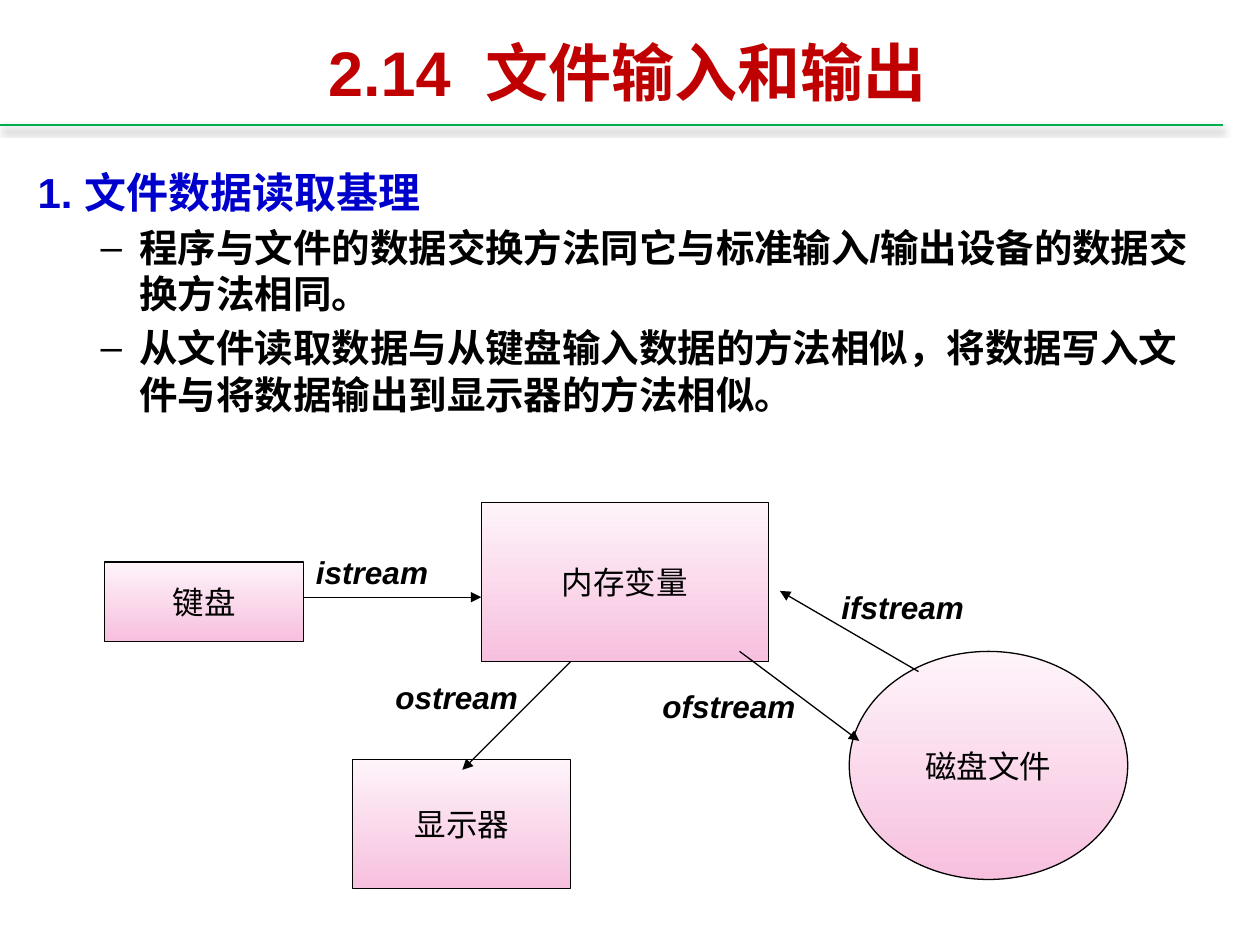
from dataclasses import dataclass

from lxml.etree import SubElement
from pptx import Presentation
from pptx.dml.color import RGBColor
from pptx.enum.shapes import MSO_CONNECTOR, MSO_SHAPE
from pptx.enum.text import MSO_ANCHOR, PP_ALIGN
from pptx.oxml.ns import qn
from pptx.util import Inches, Pt


@dataclass(frozen=True)
class Theme:
    font: str = "Arial"
    title: str = "C00000"
    heading: str = "0000CC"
    ink: str = "000000"
    rule: str = "00B050"
    node_top: str = "FEF4FA"
    node_bottom: str = "F7C0DE"
    title_size: int = 36
    heading_size: int = 24
    body_size: int = 22
    node_size: int = 18


THEME = Theme()
UNIT = 0.1  # the slide is a grid of 100 columns by 75 rows


def grid(*values):
    return [Inches(v * UNIT) for v in values]


def rgb(value):
    return RGBColor.from_string(value)


def write(p, text, size, color=THEME.ink, bold=False, italic=False, align=None):
    r = p.add_run()
    r.text = text
    f = r.font
    f.name, f.size, f.bold, f.italic = THEME.font, Pt(size), bold, italic
    f.color.rgb = rgb(color)
    if align is not None:
        p.alignment = align


def indent(p, left, hanging, bullet=None):
    pPr = p._p.get_or_add_pPr()
    pPr.set("marL", str(Inches(left)))
    pPr.set("indent", str(-Inches(hanging)))
    if bullet:
        SubElement(pPr, qn("a:buFont"), typeface=THEME.font)
        SubElement(pPr, qn("a:buChar"), char=bullet)


def add_line(s, start, end, color=THEME.ink, width=0.75, arrow=False):
    """Draw a straight line and return its empty effect list."""
    cxn = s.shapes.add_connector(MSO_CONNECTOR.STRAIGHT, *grid(*start, *end))
    cxn.line.color.rgb = rgb(color)
    cxn.line.width = Pt(width)
    if arrow:
        SubElement(cxn.line._get_or_add_ln(), qn("a:tailEnd"), type="triangle")
    return SubElement(cxn._element.spPr, qn("a:effectLst"))


def add_header(s, box, text):
    x, y, w, h = box
    # Rule with a soft shadow below it
    effects = add_line(s, (0, y + h), (97.1, y + h), THEME.rule, 1.25)
    shadow = SubElement(effects, qn("a:outerShdw"), blurRad=str(Pt(4)),
                        dist=str(Pt(2.5)), dir="5400000", rotWithShape="0")
    color = SubElement(shadow, qn("a:srgbClr"), val=THEME.ink)
    SubElement(color, qn("a:alpha"), val="47000")
    # Title
    sp = s.shapes.title
    sp.left, sp.top, sp.width, sp.height = grid(*box)
    tf = sp.text_frame
    tf.vertical_anchor = MSO_ANCHOR.MIDDLE
    write(tf.paragraphs[0], text, THEME.title_size, THEME.title, bold=True,
          align=PP_ALIGN.CENTER)


def add_body(s, box, heading, points):
    tf = s.shapes.add_textbox(*grid(*box)).text_frame
    tf.word_wrap = True
    p = tf.paragraphs[0]
    indent(p, 0.38, 0.38)
    write(p, heading, THEME.heading_size, THEME.heading, bold=True)
    for point in points:
        p = tf.add_paragraph()
        p.level = 1
        p.space_before = Pt(0.2 * THEME.body_size)
        indent(p, 0.81, 0.31, "–")
        write(p, point, THEME.body_size, bold=True)


def add_node(s, box, text, kind):
    sp = s.shapes.add_shape(kind, *grid(*box))
    sp.shadow.inherit = False
    sp.fill.gradient()
    sp.fill.gradient_angle = 270
    for stop, color in zip(sp.fill.gradient_stops,
                           (THEME.node_top, THEME.node_bottom)):
        stop.color.rgb = rgb(color)
    sp.line.color.rgb = rgb(THEME.ink)
    sp.line.width = Pt(0.75)
    tf = sp.text_frame
    tf.word_wrap = False
    tf.vertical_anchor = MSO_ANCHOR.MIDDLE
    write(tf.paragraphs[0], text, THEME.node_size, align=PP_ALIGN.CENTER)


def add_label(s, box, text):
    tf = s.shapes.add_textbox(*grid(*box)).text_frame
    tf.word_wrap = True
    write(tf.paragraphs[0], text, THEME.node_size, bold=True, italic=True)


def add_diagram(s, box, nodes, streams):
    left, top = box[:2]
    for text, kind, (x, y, w, h) in nodes:
        add_node(s, (left + x, top + y, w, h), text, kind)
    # Arrows with the stream class beside each
    for text, (x1, y1), (x2, y2), (x, y, w) in streams:
        add_line(s, (left + x1, top + y1), (left + x2, top + y2), arrow=True)
        add_label(s, (left + x, top + y, w, 4), text)


# Offsets in grid units from the diagram's corner
NODES = [
    ("内存变量", MSO_SHAPE.RECTANGLE, (29.9, 0, 22.8, 12.6)),
    ("显示器", MSO_SHAPE.RECTANGLE, (19.7, 20.4, 17.3, 10.2)),
    ("磁盘文件", MSO_SHAPE.OVAL, (59.1, 11.8, 22.1, 18.1)),
    ("键盘", MSO_SHAPE.RECTANGLE, (0, 4.7, 15.8, 6.3)),
]
# Name, arrow start, arrow end, label left/top/width
STREAMS = [
    ("istream", (15.8, 7.5), (29.9, 7.5), (15.8, 3.5, 13.4)),
    ("ostream", (37, 12.6), (28.4, 21.2), (22.1, 13.4, 11.8)),
    ("ifstream", (64.6, 13.4), (53.6, 7), (57.5, 6.3, 13.4)),
    ("ofstream", (50.4, 11.8), (59.9, 18.9), (43.3, 14.1, 13.4)),
]


def main():
    prs = Presentation()
    prs.slide_width, prs.slide_height = grid(100, 75)
    s = prs.slides.add_slide(prs.slide_layouts[5])
    add_header(s, (8.7, 1.4, 82.2, 8.5), "2.14  文件输入和输出")
    add_body(s, (2, 12.7, 95.3, 22.3), "1. 文件数据读取基理", [
        "程序与文件的数据交换方法同它与标准输入/输出设备的数据交换方法相同。",
        "从文件读取数据与从键盘输入数据的方法相似，将数据写入文件与将数据输出到显示器的方法相似。",
    ])
    add_diagram(s, (8.3, 39.9, 81.2, 30.6), NODES, STREAMS)
    prs.save("out.pptx")


if __name__ == "__main__":
    main()
